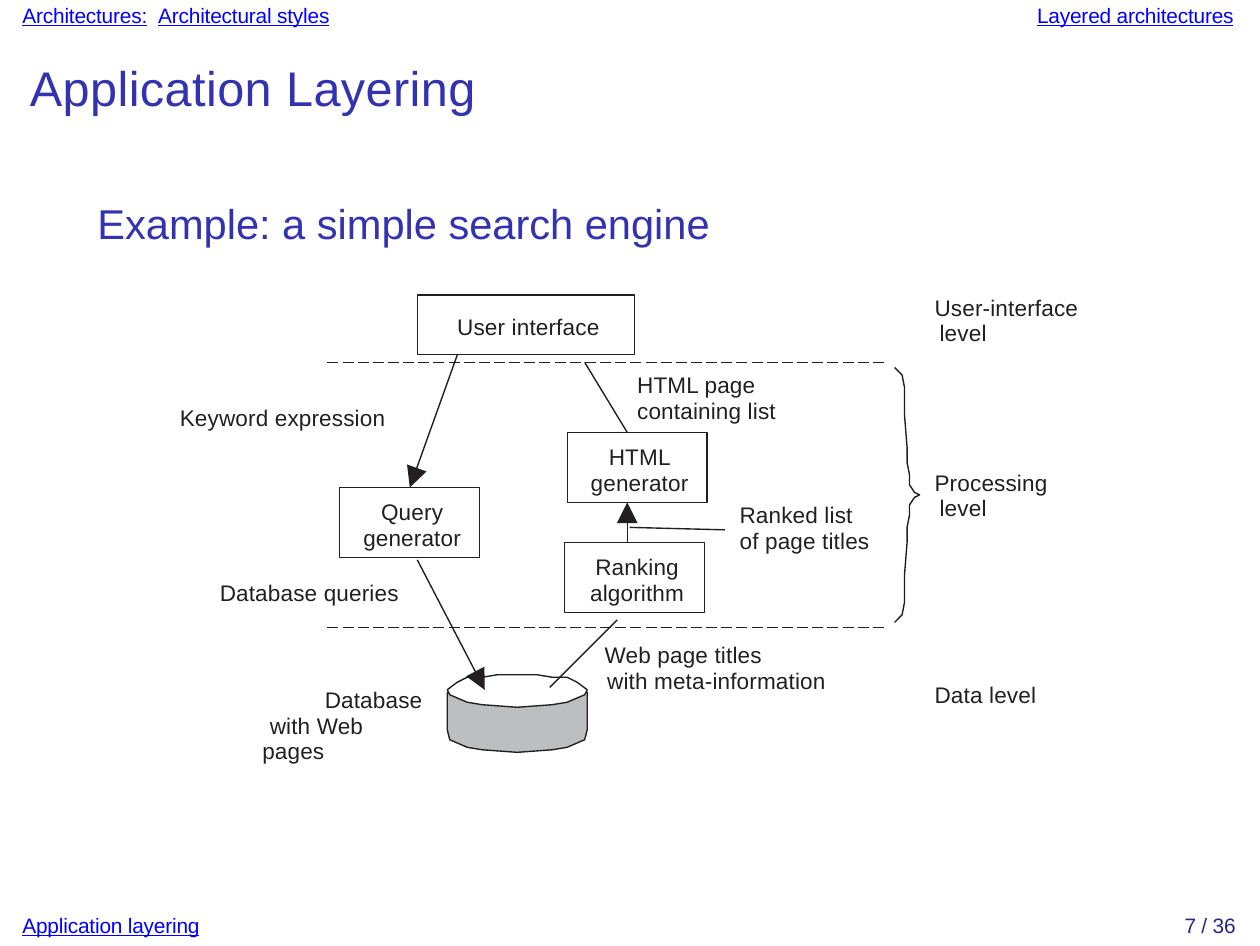
from dataclasses import dataclass

from lxml import etree
from pptx import Presentation
from pptx.dml.color import RGBColor
from pptx.enum.dml import MSO_LINE
from pptx.enum.shapes import MSO_CONNECTOR, MSO_SHAPE
from pptx.enum.text import MSO_ANCHOR, PP_ALIGN
from pptx.oxml.ns import qn
from pptx.util import Inches, Pt

STRAIGHT = MSO_CONNECTOR.STRAIGHT
RECT = MSO_SHAPE.RECTANGLE
LONG_DASH = MSO_LINE.LONG_DASH
MIDDLE = MSO_ANCHOR.MIDDLE
CENTER = PP_ALIGN.CENTER


@dataclass(frozen=True)
class Theme:
    font: str = "Arial"
    ink: str = "231F20"
    heading: str = "3333B2"
    link: str = "0000FF"
    page: str = "262685"
    disk: str = "BCBEC0"
    paper: str = "FFFFFF"
    title_size: float = 14
    subtitle_size: float = 12
    label_size: float = 6.5
    label_pitch: float = 7.4
    nav_size: float = 6
    line: float = 0.41


@dataclass(frozen=True)
class Box:
    x: float
    y: float
    w: float
    h: float

    def at(self, x, y):
        return Inches(self.x + x), Inches(self.y + y)


T = Theme()


def add_run(p, text, size, color, spacing=0.05, underline=False):
    r = p.add_run()
    r.text = text
    r.font.name = T.font
    r.font.size = Pt(size)
    r.font.color.rgb = RGBColor.from_string(color)
    r.font.underline = underline
    r._r.get_or_add_rPr().set("spc", str(round(spacing * 100)))


def add_link(p, text):
    add_run(p, text, T.nav_size, T.link, -0.05, True)


def set_insets(tf, left=0, top=0):
    tf.word_wrap = True
    tf.margin_left, tf.margin_top = Inches(left), Inches(top)
    tf.margin_right = tf.margin_bottom = 0


def add_text(s, box, x, y, w, h):
    sp = s.shapes.add_textbox(*box.at(x, y), Inches(w), Inches(h))
    set_insets(sp.text_frame)
    return sp.text_frame


def add_lines(tf, lines):
    for i, text in enumerate(lines):
        p = tf.add_paragraph() if i else tf.paragraphs[0]
        p.line_spacing = Pt(T.label_pitch)
        add_run(p, text, T.label_size, T.ink)
    return tf.paragraphs


def add_label(s, box, x, y, lines):
    tf = add_text(s, box, x, y, 1.2, 0.11 * len(lines))
    indents, texts = zip(*lines)
    for p, indent in zip(add_lines(tf, texts), indents):
        p._p.get_or_add_pPr().set("marL", str(Inches(indent)))


def add_node(s, box, x, y, w, h, lines):
    sp = s.shapes.add_shape(RECT, *box.at(x, y), Inches(w), Inches(h))
    style_outline(sp)
    tf = sp.text_frame
    set_insets(tf, 0.02, 0.02)
    tf.vertical_anchor = MIDDLE
    for p in add_lines(tf, lines):
        p.alignment = CENTER


def style_outline(sp, fill=None):
    sp.shadow.inherit = False
    if fill:
        sp.fill.solid()
        sp.fill.fore_color.rgb = RGBColor.from_string(fill)
    else:
        sp.fill.background()
    style_line(sp.line)


def style_line(line):
    line.color.rgb = RGBColor.from_string(T.ink)
    line.width = Pt(T.line)


def add_line(s, box, start, end, arrow=False, dashed=False):
    c = s.shapes.add_connector(STRAIGHT, *box.at(*start), *box.at(*end))
    style_line(c.line)
    if dashed:
        c.line.dash_style = LONG_DASH
    if arrow:
        etree.SubElement(c.line._get_or_add_ln(), qn("a:tailEnd"),
                         type="triangle", w="med", len="med")
    etree.SubElement(c._element.spPr, qn("a:effectLst"))


def add_outline(s, box, points, fill=None):
    pts = [box.at(x, y) for x, y in points]
    fb = s.shapes.build_freeform(*pts[0])
    fb.add_line_segments(pts[1:], close=fill is not None)
    style_outline(fb.convert_to_shape(), fill)


def add_database(s, box, cx, top):
    body = [(0.28, 0.07), (0.28, 0.22), (0.27, 0.26), (0.2, 0.29),
            (0.14, 0.3), (0, 0.31)]
    lid = [(0, 0), (0.08, 0), (0.14, 0.01), (0.2, 0.01), (0.24, 0.03),
           (0.28, 0.06), (0.27, 0.08), (0.2, 0.11), (0.14, 0.12), (0, 0.13)]
    for half, fill in ((body, T.disk), (lid, T.paper)):
        outline = half + [(-x, y) for x, y in reversed(half)]
        add_outline(s, box, [(cx + x, top + y) for x, y in outline], fill)


def add_brace(s, box, x, middle):
    half = [(0, 0.51), (0.03, 0.48), (0.04, 0.43), (0.04, 0.32), (0.05, 0.19),
            (0.05, 0.13), (0.06, 0.08), (0.06, 0.04), (0.08, 0.01), (0.1, 0)]
    upper = [(x + dx, middle - dy) for dx, dy in half]
    lower = [(x + dx, middle + dy) for dx, dy in reversed(half[:-1])]
    add_outline(s, box, upper + lower)


def add_header(s, box):
    p = add_text(s, box, 0.09, 0.01, 1.6, box.h).paragraphs[0]
    add_link(p, "Architectures:")
    add_run(p, " ", T.nav_size, T.heading, 1.5)
    add_link(p, "Architectural styles")
    p = add_text(s, box, 4.15, 0.01, box.w - 4.15, box.h).paragraphs[0]
    add_link(p, "Layered architectures")


def add_headings(s, box):
    p = add_text(s, box, 0, 0, box.w, 0.25).paragraphs[0]
    add_run(p, "Application Layering", T.title_size, T.heading, 0.1)
    p = add_text(s, box, 0.27, 0.56, box.w - 0.27, 0.22).paragraphs[0]
    add_run(p, "Example: a simple search engine", T.subtitle_size, T.heading, 0)


def add_diagram(s, box):
    for y in (0.35, 1.41):
        add_line(s, box, (0.61, y), (2.84, y), dashed=True)
    add_brace(s, box, 2.88, 0.88)
    add_database(s, box, 1.37, 1.6)

    for x, y, w, h, lines in (
        (0.97, 0.08, 0.87, 0.24, ["User interface"]),
        (0.66, 0.85, 0.56, 0.28, ["Query", "generator"]),
        (1.57, 0.63, 0.56, 0.28, ["HTML", "generator"]),
        (1.56, 1.07, 0.56, 0.28, ["Ranking", "algorithm"]),
    ):
        add_node(s, box, x, y, w, h, lines)

    for start, end, arrow in (
        ((1.13, 0.32), (0.94, 0.85), True),
        ((0.97, 1.14), (1.24, 1.66), True),
        ((1.81, 1.07), (1.81, 0.91), True),
        ((2.2, 1.02), (1.82, 1.01), False),
        ((1.5, 1.65), (1.77, 1.38), False),
        ((1.81, 0.63), (1.64, 0.35), False),
    ):
        add_line(s, box, start, end, arrow)

    for x, y, lines in (
        (0.02, 0.52, [(0, "Keyword expression")]),
        (0.18, 1.22, [(0, "Database queries")]),
        (0.35, 1.65, [(0.25, "Database"), (0.03, "with Web"), (0, "pages")]),
        (1.85, 0.39, [(0, "HTML page"), (0, "containing list")]),
        (2.26, 0.91, [(0, "Ranked list"), (0, "of page titles")]),
        (1.72, 1.47, [(0, "Web page titles"), (0.01, "with meta-information")]),
        (3.04, 0.08, [(0, "User-interface"), (0.02, "level")]),
        (3.04, 0.78, [(0, "Processing"), (0.02, "level")]),
        (3.04, 1.63, [(0, "Data level")]),
    ):
        add_label(s, box, x, y, lines)


def add_footer(s, box):
    p = add_text(s, box, 0.09, 0.01, 1.2, 0.1).paragraphs[0]
    add_link(p, "Application layering")
    p = add_text(s, box, 4.74, 0.01, box.w - 4.74, 0.1).paragraphs[0]
    add_run(p, "7 / 36", T.nav_size, T.page, -0.05)


def main():
    prs = Presentation()
    prs.slide_width = Pt(363)
    prs.slide_height = Pt(272.5)
    s = prs.slides.add_slide(prs.slide_layouts[6])
    add_header(s, Box(0, 0, 5.04, 0.13))
    add_headings(s, Box(0.12, 0.23, 4.8, 0.8))
    add_diagram(s, Box(0.7, 1.1, 3.7, 2))
    add_footer(s, Box(0, 3.64, 5.04, 0.13))
    prs.save("out.pptx")


if __name__ == "__main__":
    main()
